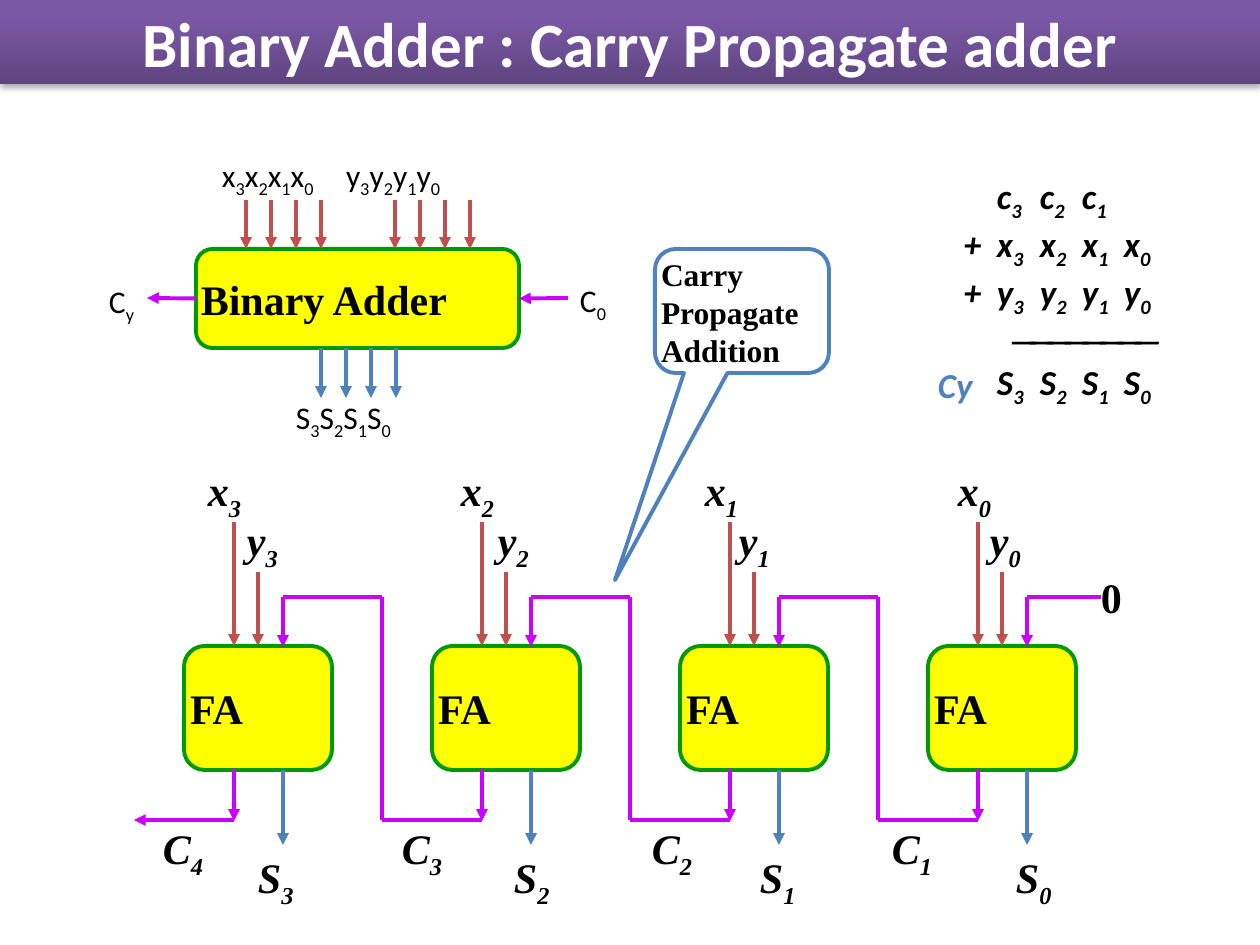
from lxml import etree
from pptx import Presentation
from pptx.dml.color import RGBColor
from pptx.enum.shapes import MSO_CONNECTOR, MSO_SHAPE as SHAPE
from pptx.enum.text import MSO_ANCHOR as ANCHOR, PP_ALIGN as ALIGN
from pptx.oxml import parse_xml
from pptx.oxml.ns import nsdecls, qn
from pptx.util import Pt

PX = 914400 / 126
SERIF, SANS = "Times New Roman", "Calibri"
BLACK, WHITE, YELLOW, GREEN = "000000", "FFFFFF", "FFFF00", "009900"
RED, BLUE, MAGENTA = "C0504D", "4F81BD", "CC00FF"

prs = Presentation()
prs.slide_width, prs.slide_height = round(1260 * PX), round(945 * PX)
slide = prs.slides.add_slide(prs.slide_layouts[6])
shapes = slide.shapes


def write(text, x, y, w, h, shape=None, fill=None, line=None, size=24, font=SERIF,
          color=BLACK, bold=True, italic=False, align=ALIGN.LEFT, anchor=ANCHOR.TOP):
    """Put text in a box or preset shape; an underscore lowers the next letter."""
    place = [round(v * PX) for v in (x, y, w, h)]
    if shape is None:
        box = shapes.add_textbox(*place)
    else:
        box = shapes.add_shape(shape, *place)
        box.shadow.inherit = False
        box.fill.background()
        box.line.fill.background()
    if fill:
        box.fill.solid()
        box.fill.fore_color.rgb = RGBColor.from_string(fill)
    if line:
        box.line.color.rgb = RGBColor.from_string(line)
        box.line.width = Pt(2.25)
    frame = box.text_frame
    frame.word_wrap = True
    frame.vertical_anchor = anchor
    frame.margin_left = frame.margin_right = frame.margin_top = frame.margin_bottom = 0
    for n, row in enumerate(text.split("\n")):
        para = frame.paragraphs[0] if n == 0 else frame.add_paragraph()
        para.alignment = align
        first, *rest = row.split("_")
        pieces = [(first, False)]
        for part in rest:
            pieces += [(part[0], True), (part[1:], False)]
        for piece, lowered in pieces:
            if not piece:
                continue
            run = para.add_run()
            run.text = piece
            run.font.size, run.font.name = Pt(size), font
            run.font.bold, run.font.italic = bold, italic
            run.font.color.rgb = RGBColor.from_string(color)
            if lowered:
                run._r.get_or_add_rPr().set("baseline", "-25000")
    return box


def connect(x1, y1, x2, y2, color, arrow=True):
    wire = shapes.add_connector(MSO_CONNECTOR.STRAIGHT,
                                *[round(v * PX) for v in (x1, y1, x2, y2)])
    wire.line.color.rgb = RGBColor.from_string(color)
    wire.line.width = Pt(2.25)
    if arrow:
        etree.SubElement(wire.line._get_or_add_ln(), qn("a:tailEnd"), type="triangle")
    etree.SubElement(wire._element.spPr, qn("a:effectLst"))
    return wire


# Title bar
title = write("Binary Adder : Carry Propagate adder", 0, 0, 1260, 84, shape=SHAPE.RECTANGLE,
              size=36, font=SANS, color=WHITE, align=ALIGN.CENTER, anchor=ANCHOR.MIDDLE)
title.fill.gradient()
title.fill.gradient_angle = 90
for stop, (shade, position) in zip(title.fill.gradient_stops, [("5F4480", 0), ("7B58A6", 0.8)]):
    stop.color.rgb = RGBColor.from_string(shade)
    stop.position = position
title._element.spPr.find(qn("a:effectLst")).append(parse_xml(
    f'<a:outerShdw {nsdecls("a")} blurRad="40000" dist="23000" dir="5400000" rotWithShape="0">'
    '<a:srgbClr val="000000"><a:alpha val="35000"/></a:srgbClr></a:outerShdw>'))

# Adder block with its inputs and outputs
adder = write("Binary Adder", 196, 249, 323, 99, shape=SHAPE.ROUNDED_RECTANGLE,
              fill=YELLOW, line=GREEN, anchor=ANCHOR.MIDDLE)
for bit in range(4):
    step = 25 * bit
    connect(246 + step, 200, 246 + step, 249, RED)
    connect(395 + step, 200, 395 + step, 249, RED)
    connect(321 + step, 348, 321 + step, 398, BLUE)
connect(568, 298, 519, 298, MAGENTA).end_connect(adder, 3)
connect(196, 298, 147, 298, MAGENTA).begin_connect(adder, 1)
for label, x, y, w in [("x_3x_2x_1x_0", 222, 156, 120), ("y_3y_2y_1y_0", 346, 156, 120),
                       ("S_3S_2S_1S_0", 296, 398, 149), ("C_0", 580, 281, 49),
                       ("C_y", 109, 282, 49)]:
    write(label, x, y, w, 38, size=18, font=SANS, bold=False)

# Column addition, aligned on tab stops
addition = write("\t\tc_3\tc_2\tc_1\n\t+\tx_3\tx_2\tx_1\tx_0\n\t+\ty_3\ty_2\ty_1\ty_0\n"
                 "────────\n\t\tS_3\tS_2\tS_1\tS_0",
                 938, 175, 217, 212, size=20, font=SANS, italic=True)
for para in addition.text_frame.paragraphs:
    if para.text.startswith("─"):
        para.alignment = ALIGN.RIGHT
        continue
    tabs = etree.SubElement(para._p.get_or_add_pPr(), qn("a:tabLst"))
    for stop in (26, 59, 102, 144, 186):
        etree.SubElement(tabs, qn("a:tab"), pos=str(round(stop * PX)), algn="l")
write("Cy", 938, 363, 50, 43, size=20, font=SANS, color=BLUE, italic=True)

# Chain of full adders, highest bit first
x_lefts, y_lefts = (208, 461, 705, 958), (247, 498, 739, 990)
sum_lefts, carry_lefts = (258, 514, 760, 1016), (163, 402, 652, 892)
for stage in range(4):
    bit, left = 3 - stage, 184 + 248 * stage
    carry_out, middle, carry_in, riser = left + 50, left + 74, left + 99, left - 50
    full_adder = write("FA", left, 646, 148, 124, shape=SHAPE.ROUNDED_RECTANGLE,
                       fill=YELLOW, line=GREEN, anchor=ANCHOR.MIDDLE)
    connect(carry_out, 522, carry_out, 646, RED)
    connect(middle, 572, middle, 646, RED).end_connect(full_adder, 0)
    connect(carry_in, 597, carry_in, 647, MAGENTA)
    connect(carry_in, 770, carry_in, 845, BLUE)
    connect(carry_out, 770, carry_out, 821, MAGENTA)
    connect(carry_out, 820, riser, 820, MAGENTA, arrow=stage == 0)
    if stage > 0:
        connect(riser, 820, riser, 597, MAGENTA, arrow=False)
        connect(riser, 597, riser - 99, 597, MAGENTA, arrow=False)
    for label, x, y in [(f"x_{bit}", x_lefts[stage], 465), (f"y_{bit}", y_lefts[stage], 515),
                        (f"S_{bit}", sum_lefts[stage], 852),
                        (f"C_{bit + 1}", carry_lefts[stage], 823)]:
        write(label, x, y, 60, 50, italic=True)

# Initial carry
connect(1101, 597, 1027, 597, MAGENTA, arrow=False)
write("0", 1101, 572, 49, 50)

# Callout on the carry path
callout = write("Carry Propagate Addition", 655, 249, 174, 124,
                shape=SHAPE.ROUNDED_RECTANGULAR_CALLOUT, line=BLUE, size=18)
callout.adjustments[0], callout.adjustments[1] = -0.73, 2.17

prs.save("out.pptx")
